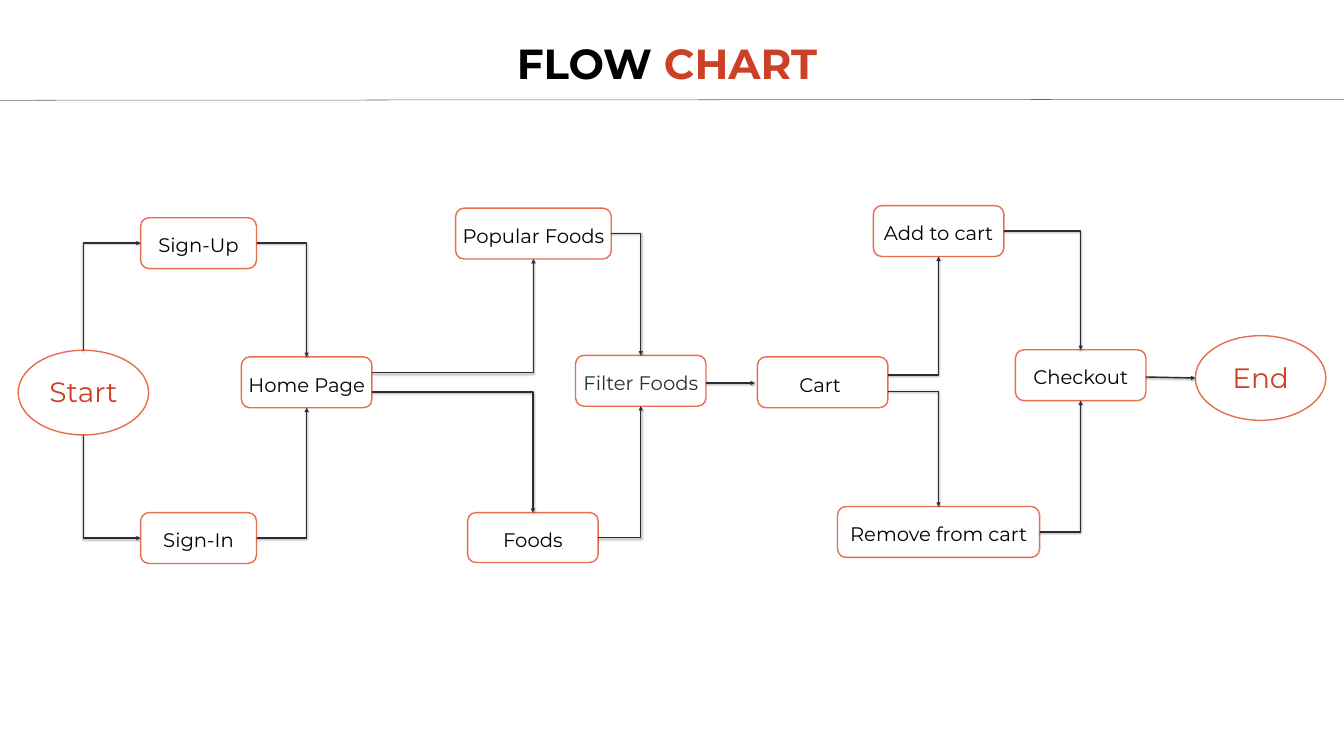
from lxml import etree
from pptx import Presentation
from pptx.dml.color import RGBColor
from pptx.enum.shapes import MSO_CONNECTOR, MSO_SHAPE
from pptx.enum.text import MSO_AUTO_SIZE, PP_ALIGN
from pptx.oxml import parse_xml
from pptx.oxml.ns import nsdecls, qn
from pptx.util import Pt

PX = 9144
FONT = "Montserrat"
OVAL, ROUNDED = MSO_SHAPE.OVAL, MSO_SHAPE.ROUNDED_RECTANGLE
STRAIGHT, ELBOW = MSO_CONNECTOR.STRAIGHT, MSO_CONNECTOR.ELBOW
CENTER = PP_ALIGN.CENTER
FIT = MSO_AUTO_SIZE.SHAPE_TO_FIT_TEXT
TOP, LEFT, BOTTOM, RIGHT = range(4)
OVAL_BOTTOM = 4

COLORS = {
    "white": "FFFFFF",
    "black": "000000",
    "accent": "CC4125",
    "border": "E76F51",
    "arrow": "272E3A",
    "rule": "5E6970",
}

TITLE = [("FLOW ", "black"), ("CHART", "accent")]
TERMINALS = [
    ("Start", 36, 695, 259, 168),
    ("End", 2372, 666, 259, 168),
]
STEPS = [
    ("Sign-Up", 279, 432, 230, 101),
    ("Sign-In", 279, 1017, 230, 101),
    ("Home Page", 479, 708, 259, 101),
    ("Foods", 928, 1017, 259, 99),
    ("Popular Foods", 904, 413, 309, 101),
    ("Filter Foods", 1142, 705, 259, 101),
    ("Cart", 1503, 708, 259, 101),
    ("Add to cart", 1733, 408, 259, 101),
    ("Remove from cart", 1662, 1005, 401, 101),
    ("Checkout", 2015, 694, 259, 101),
]
LABEL_COLORS = {"Filter Foods": "arrow"}
LABEL_SHIFTS = {"Cart": -5}
GLUED_LINKS = [
    ("Start", TOP, "Sign-Up", LEFT),
    ("Start", BOTTOM, "Sign-In", LEFT),
    ("Sign-Up", RIGHT, "Home Page", TOP),
    ("Sign-In", RIGHT, "Home Page", BOTTOM),
    ("Popular Foods", RIGHT, "Filter Foods", TOP),
    ("Foods", RIGHT, "Filter Foods", BOTTOM),
    ("Add to cart", RIGHT, "Checkout", TOP),
    ("Remove from cart", RIGHT, "Checkout", BOTTOM),
]
BRANCHES = [
    ("Home Page", 739, "Popular Foods", BOTTOM),
    ("Home Page", 778, "Foods", TOP),
    ("Cart", 744, "Add to cart", BOTTOM),
    ("Cart", 777, "Remove from cart", TOP),
]
STRAIGHT_ARROWS = [(1401, 760, 1498, 760), (2274, 748, 2372, 750)]

SHADOW = (
    f'<a:effectLst {nsdecls("a")}><a:outerShdw blurRad="39370" dist="20320" '
    'dir="5400000" rotWithShape="0"><a:srgbClr val="000000">'
    '<a:alpha val="38000"/></a:srgbClr></a:outerShdw></a:effectLst>'
)


def color(name):
    return RGBColor.from_string(COLORS[name])


def add_text(page, spans, left, top, width, height, size, bold=False):
    box = page.shapes.add_textbox(left * PX, top * PX, width * PX, height * PX)
    frame = box.text_frame
    frame.word_wrap = True
    frame.auto_size = FIT
    para = frame.paragraphs[0]
    para.alignment = CENTER
    for text, name in spans:
        span = para.add_run()
        span.text = text
        span.font.name = FONT
        span.font.size = Pt(size)
        span.font.bold = bold
        span.font.color.rgb = color(name)


def add_node(page, preset, left, top, width, height):
    node = page.shapes.add_shape(preset, left * PX, top * PX, width * PX, height * PX)
    node.shadow.inherit = False
    node.fill.solid()
    node.fill.fore_color.rgb = color("white")
    node.line.color.rgb = color("border")
    node.line.width = Pt(2)
    return node


def add_line(page, kind, ends, name, width):
    line = page.shapes.add_connector(kind, *[int(value) for value in ends])
    line.line.color.rgb = color(name)
    line.line.width = Pt(width)
    return line


def add_arrow(page, kind, ends):
    arrow = add_line(page, kind, ends, "arrow", 2)
    properties = arrow._element.spPr
    etree.SubElement(properties.find(qn("a:ln")), qn("a:tailEnd"), type="triangle")
    properties.append(parse_xml(SHADOW))
    if kind == ELBOW:
        properties.find(qn("a:prstGeom")).set("prst", "bentConnector2")
    return arrow


def turn_vertical_first(arrow, upward):
    left, top, width, height = arrow.left, arrow.top, arrow.width, arrow.height
    arrow.left = left + (width - height) // 2
    arrow.top = top + (height - width) // 2
    arrow.width, arrow.height = height, width
    frame = arrow._element.spPr.find(qn("a:xfrm"))
    frame.set("flipH", "1")
    frame.set("rot", str((90 if upward else 270) * 60000))


def add_link(page, nodes, source, side, target, target_side):
    arrow = add_arrow(page, ELBOW, (0, 0, 0, 0))
    arrow.begin_connect(nodes[source], side)
    arrow.end_connect(nodes[target], target_side)
    if side in (TOP, BOTTOM):
        turn_vertical_first(arrow, side == TOP)
        if side == BOTTOM:
            glue = next(arrow._element.iter(qn("a:stCxn")))
            glue.set("idx", str(OVAL_BOTTOM))


def add_branch(page, nodes, source, start_y, target, target_side):
    start, end = nodes[source], nodes[target]
    end_y = end.top + (end.height if target_side == BOTTOM else 0)
    ends = (start.left + start.width, start_y * PX, end.left + end.width // 2, end_y)
    add_arrow(page, ELBOW, ends).end_connect(end, target_side)


def main():
    deck = Presentation()
    deck.slide_width, deck.slide_height = 2667 * PX, 1500 * PX
    page = deck.slides.add_slide(deck.slide_layouts[6])

    add_text(page, TITLE, 98, 69, 2451, 111, size=60, bold=True)
    rule_ends = [value * PX for value in (0, 199, 2667, 197)]
    rule = add_line(page, STRAIGHT, rule_ends, "rule", 0.75)
    etree.SubElement(rule._element.spPr, qn("a:effectLst"))

    nodes = {}
    for text, left, top, width, height in TERMINALS:
        nodes[text] = add_node(page, OVAL, left, top, width, height)
        label_top = top + (height - 77) // 2 - 1
        add_text(page, [(text, "accent")], left, label_top, width, 77, size=40)
    for text, left, top, width, height in STEPS:
        nodes[text] = add_node(page, ROUNDED, left, top, width, height)
        label_left = left + LABEL_SHIFTS.get(text, 0)
        label_top = top + (height - 57) // 2 + 4
        spans = [(text, LABEL_COLORS.get(text, "black"))]
        add_text(page, spans, label_left, label_top, width, 57, size=28)

    for link in GLUED_LINKS:
        add_link(page, nodes, *link)
    for branch in BRANCHES:
        add_branch(page, nodes, *branch)
    for ends in STRAIGHT_ARROWS:
        add_arrow(page, STRAIGHT, [value * PX for value in ends])

    deck.save("out.pptx")


if __name__ == "__main__":
    main()
